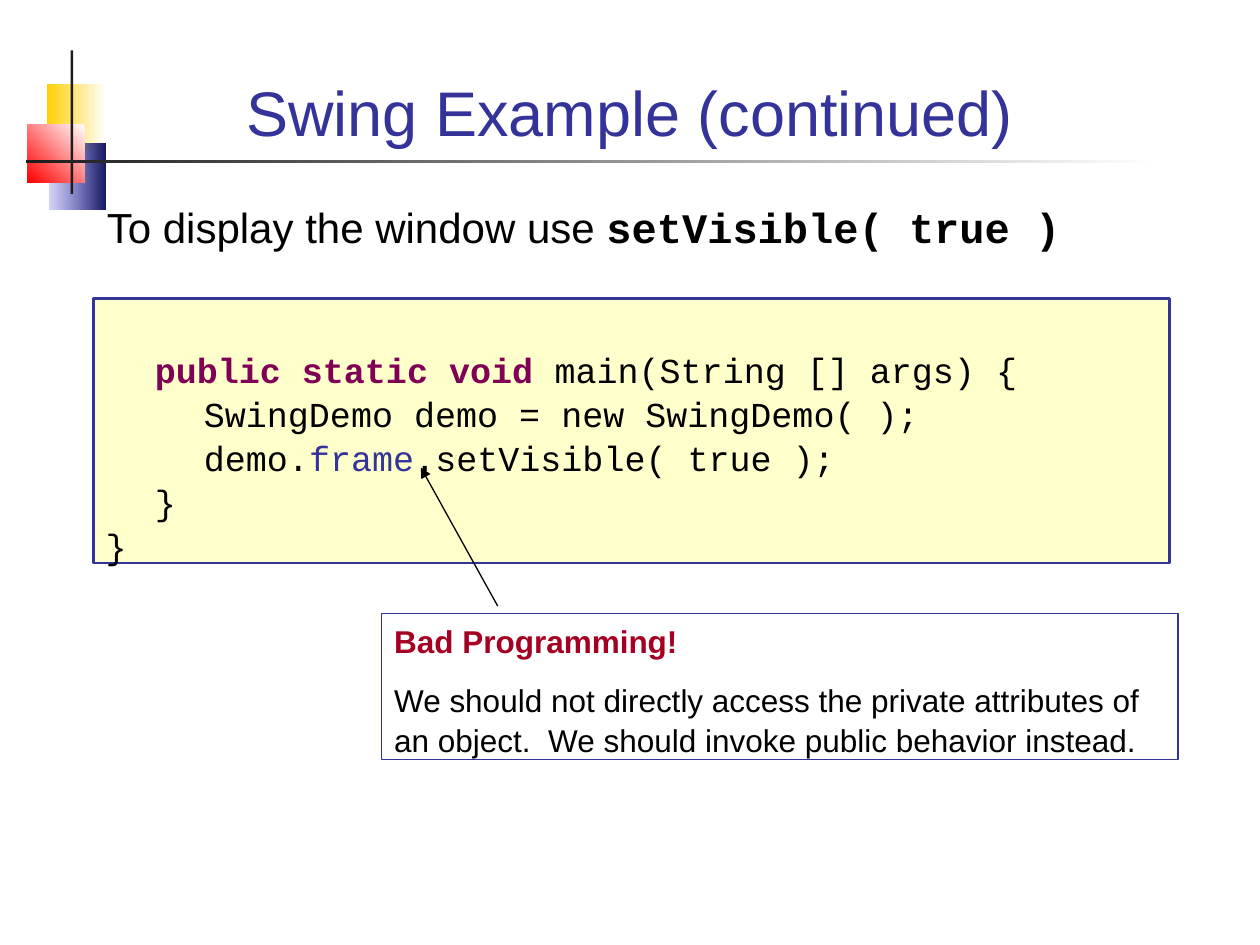
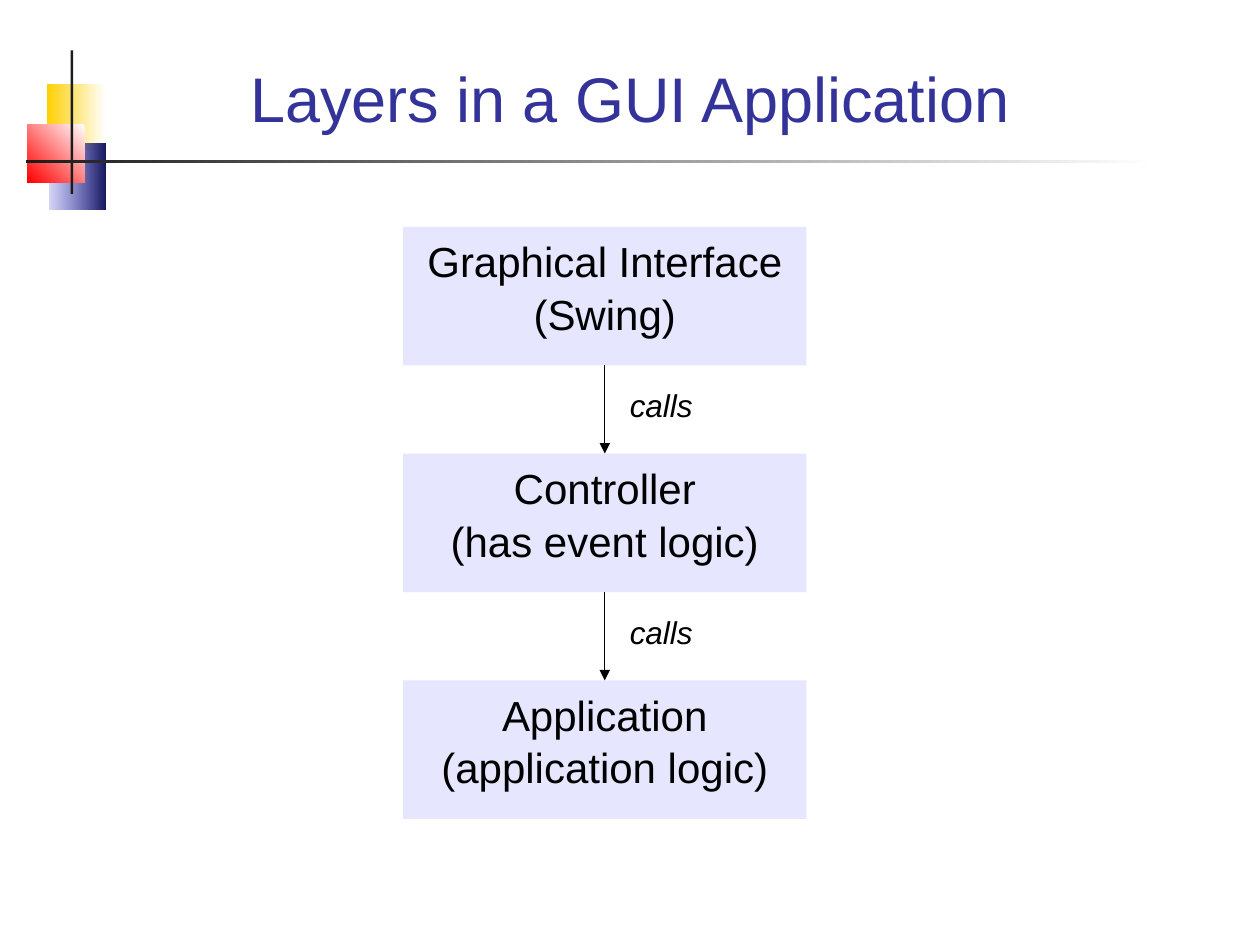
from lxml import etree
from pptx import Presentation
from pptx.dml.color import RGBColor
from pptx.enum.shapes import MSO_CONNECTOR, MSO_SHAPE
from pptx.enum.text import MSO_ANCHOR, PP_ALIGN
from pptx.oxml.ns import qn
from pptx.util import Inches, Pt

COLORS = {
    "title": "333399", "text": "000000", "keyword": "7F0055",
    "warning": "A50021", "code": "FFFFCC", "layer": "E6E6FF",
    "white": "FFFFFF", "yellow": "FFCF01", "navy": "17175E",
    "blue": "3333CC", "red": "FF0000", "rule": "1C1C1C",
}
SANS, MONO = "Arial", "Courier New"
LINE_SPACING = 1.05
TAB_STEP = Inches(0.39)

deck = Presentation()
deck.slide_width, deck.slide_height = Inches(10), Inches(7.5)
COL, ROW = deck.slide_width / 100, deck.slide_height / 75


def add_box(slide, place, fill=None, line=None, line_width=0.75):
    left, top, width, height = place
    box = slide.shapes.add_shape(
        MSO_SHAPE.RECTANGLE, round(left * COL), round(top * ROW),
        round(width * COL), round(height * ROW))
    box.shadow.inherit = False
    if fill:
        box.fill.solid()
        box.fill.fore_color.rgb = RGBColor.from_string(COLORS[fill])
    else:
        box.fill.background()
    if line:
        box.line.color.rgb = RGBColor.from_string(COLORS[line])
        box.line.width = Pt(line_width)
    else:
        box.line.fill.background()
    return box


def write(box, paragraphs, size, align=PP_ALIGN.LEFT, anchor=MSO_ANCHOR.TOP,
          gap=0, tabs=0):
    frame = box.text_frame
    frame.word_wrap = True
    frame.vertical_anchor = anchor
    for number, runs in enumerate(paragraphs):
        paragraph = frame.add_paragraph() if number else frame.paragraphs[0]
        paragraph.alignment = align
        paragraph.line_spacing = LINE_SPACING
        paragraph.space_before = Pt(gap)
        if tabs:
            stops = etree.SubElement(paragraph._p.get_or_add_pPr(), qn("a:tabLst"))
            for step in range(1, tabs + 1):
                etree.SubElement(stops, qn("a:tab"), pos=str(step * TAB_STEP), algn="l")
        for words, color, face, style in runs:
            run = paragraph.add_run()
            run.text = words
            run.font.size = Pt(size)
            run.font.name = face
            run.font.bold = style == "bold"
            run.font.italic = style == "italic"
            run.font.color.rgb = RGBColor.from_string(COLORS[color])


ornaments = [
    ((3.7, 6.7, 4.7, 5.2), "white", "yellow", 180, None),
    ((3.9, 11.4, 4.5, 5.2), "navy", "blue", 180, 20),
    ((2.2, 9.9, 4.5, 4.6), "white", "red", 225, None),
    ((5.6, 4, 0.2, 11.4), "rule", None, None, None),
    ((2.1, 12.7, 89.8, 0.2), "white", "rule", 180, None),
]
titles = [
    ("Swing Example (continued)", MSO_ANCHOR.BOTTOM),
    ("Layers in a GUI Application", MSO_ANCHOR.MIDDLE),
]
slides = []
for title, anchor in titles:
    slide = deck.slides.add_slide(deck.slide_layouts[6])
    slides.append(slide)
    for place, start, end, angle, opacity in ornaments:
        ornament = add_box(slide, place, start)
        if end:
            ornament.fill.gradient()
            ornament.fill.gradient_angle = angle
            for stop, color in zip(ornament.fill.gradient_stops, (start, end)):
                stop.color.rgb = RGBColor.from_string(COLORS[color])
        if opacity:
            faded = ornament._element.spPr.findall(".//" + qn("a:srgbClr"))[-1]
            etree.SubElement(faded, qn("a:alpha"), val=str(opacity * 1000))
    write(add_box(slide, (6.7, 2.8, 86.6, 9.5)),
          [[(title, "title", SANS, None)]], 36, PP_ALIGN.CENTER, anchor)
example, layers = slides

write(add_box(example, (7.5, 15.3, 86.6, 7.7)),
      [[("To display the window use ", "text", SANS, None),
        ("setVisible( true )", "text", MONO, "bold")]], 24)

code = [
    [("\tpublic static void", "keyword", MONO, "bold"),
     (" main(String [] args) {", "text", MONO, None)],
    [("\t\tSwingDemo demo = new SwingDemo( );", "text", MONO, None)],
    [("\t\tdemo.", "text", MONO, None), ("frame", "title", MONO, None),
     (".setVisible( true );", "text", MONO, None)],
    [("\t}", "text", MONO, None)],
    [("}", "text", MONO, None)],
]
listing = add_box(example, (7.4, 23.7, 85.4, 21), "code", "title", 1.5)
listing.text_frame.margin_top = Inches(0.38)
write(listing, code, 20, tabs=7)

advice = [
    [("Bad Programming!", "warning", SANS, "bold")],
    [("We should not directly access the private attributes of an object.  "
      "We should invoke public behavior instead.", "text", SANS, None)],
]
write(add_box(example, (30.3, 48.7, 63.2, 11.6), line="title"), advice, 18, gap=11.2)

arrows = [(example, (39.5, 48.1), (33.4, 37.1))]
layer_names = [
    ["Graphical Interface (Swing)"],
    ["Controller", "(has event logic)"],
    ["Application", "(application logic)"],
]
LEFT, TOP, WIDTH, HEIGHT, PITCH = 32, 18, 32, 11, 18
for level, lines in enumerate(layer_names):
    top = TOP + level * PITCH
    write(add_box(layers, (LEFT, top, WIDTH, HEIGHT), "layer"),
          [[(line, "text", SANS, None)] for line in lines], 24, PP_ALIGN.CENTER)
    if level:
        middle, above = LEFT + WIDTH / 2, top - PITCH + HEIGHT
        arrows.append((layers, (middle, above), (middle, top)))
        write(add_box(layers, (middle + 1, above + 1, 14, 4)),
              [[("calls", "text", SANS, "italic")]], 18)

for slide, (x1, y1), (x2, y2) in arrows:
    arrow = slide.shapes.add_connector(
        MSO_CONNECTOR.STRAIGHT, round(x1 * COL), round(y1 * ROW),
        round(x2 * COL), round(y2 * ROW))
    arrow.line.color.rgb = RGBColor.from_string(COLORS["text"])
    arrow.line.width = Pt(0.75)
    etree.SubElement(arrow.line._get_or_add_ln(), qn("a:tailEnd"), type="triangle")
    etree.SubElement(arrow._element.spPr, qn("a:effectLst"))

deck.save("out.pptx")
